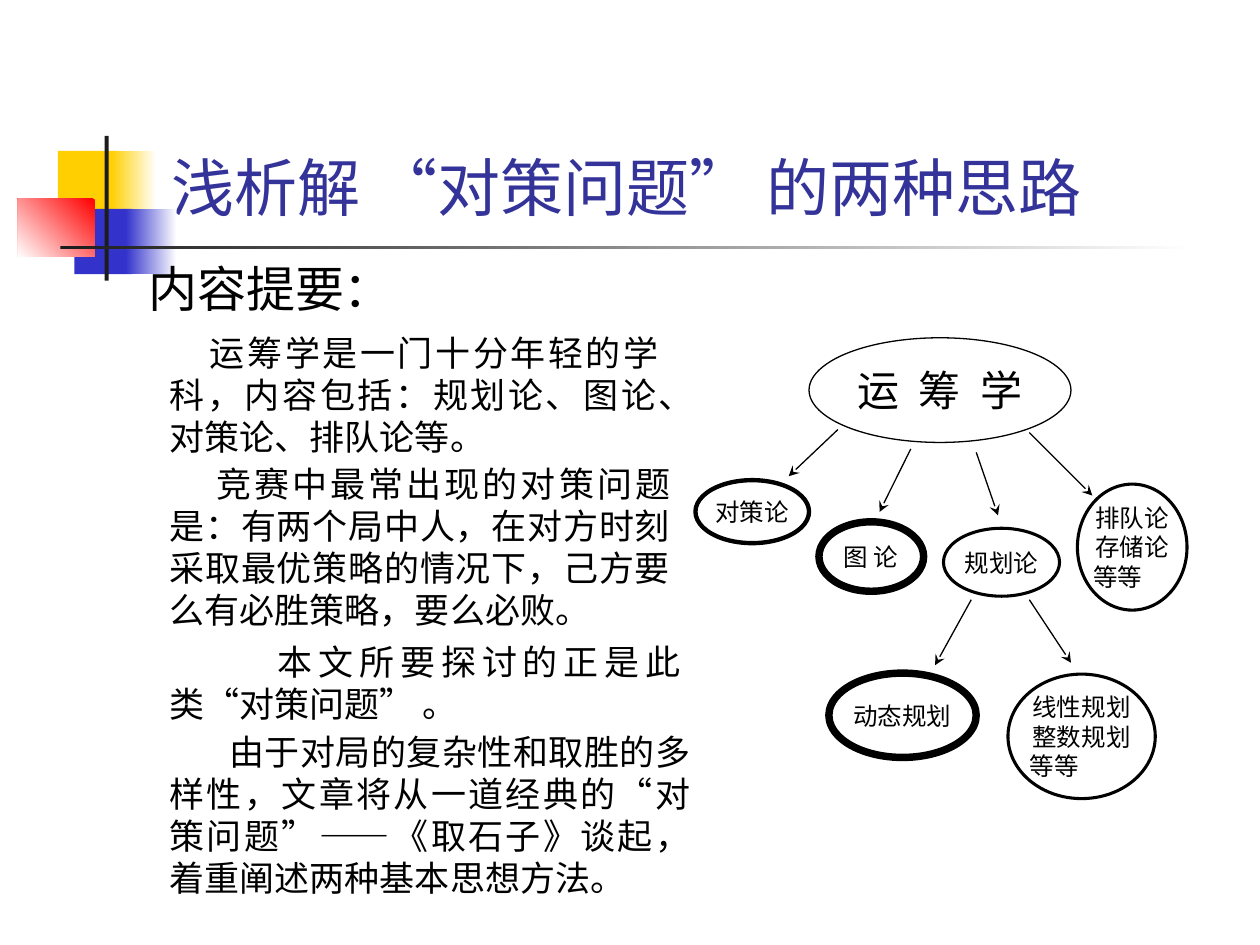
import pptx
import pptx.dml.color
import pptx.enum.shapes
import pptx.enum.text
import pptx.oxml
import pptx.oxml.ns
import pptx.util

Cm = pptx.util.Cm
Pt = pptx.util.Pt
RGBColor = pptx.dml.color.RGBColor
SHAPE = pptx.enum.shapes.MSO_SHAPE
ALIGN = pptx.enum.text.PP_ALIGN
ANCHOR = pptx.enum.text.MSO_ANCHOR

BLACK = RGBColor(0x00, 0x00, 0x00)
WHITE = RGBColor(0xFF, 0xFF, 0xFF)
YELLOW = RGBColor(0xFF, 0xCF, 0x01)
BLUE = RGBColor(0x33, 0x33, 0xCC)
RED = RGBColor(0xFF, 0x00, 0x00)
CHARCOAL = RGBColor(0x1C, 0x1C, 0x1C)
TITLE_BLUE = RGBColor(0x33, 0x33, 0x99)

SERIF = "Times New Roman"
SANS = "Noto Sans CJK SC"

# Decoration: left, top, width, height, colour, fade angle (None = solid)
DECORATION = [
    (0.81, 0.3, 1.22, 1.32, YELLOW, None),
    (1.88, 0.3, 0.91, 1.32, YELLOW, 0),
    (1.14, 1.47, 1.17, 1.32, BLUE, None),
    (2.18, 1.47, 1.02, 1.32, BLUE, 0),
    (0, 1.27, 1.55, 1.17, RED, 225),
    (1.75, 0, 0.08, 2.92, CHARCOAL, None),
    (0.86, 2.21, 22.86, 0.08, CHARCOAL, 0),
]

# Summary: top, width, height, first-line indent, font, text
SUMMARY = [
    (1.47, 10.36, 2.79, 0.81, SANS,
     "运筹学是一门十分年轻的学科，内容包括：规划论、图论、对策论、排队论等。"),
    (4.11, 10.59, 3.66, 0.95, SANS,
     "竞赛中最常出现的对策问题是：有两个局中人，在对方时刻采取最优策略的情况下，"
     "己方要么有必胜策略，要么必败。"),
    (7.7, 10.8, 1.96, 2.18, SERIF,
     "本文所要探讨的正是此类“对策问题” 。"),
    (9.52, 11, 4.5, 1.2, SERIF,
     "由于对局的复杂性和取胜的多样性，文章将从一道经典的“对策问题”——《取石子》谈起，"
     "着重阐述两种基本思想方法。"),
]

# Topic tree: left, top, width, height, outline, size, lines
TOPICS = [
    (2.29, 0, 5.28, 2.11, 0.75, 24, ["运 筹 学"]),
    (0, 2.87, 2.29, 1.27, 2.5, 14, ["对策论"]),
    (2.49, 3.71, 2.11, 1.4, 4.25, 14, ["图 论"]),
    (5, 3.84, 2.34, 1.37, 1.75, 14, ["规划论"]),
    (7.7, 2.95, 2.21, 2.54, 1.75, 14, ["排队论", "存储论", "等等"]),
    (2.69, 6.76, 2.97, 1.7, 4.25, 14, ["动态规划"]),
    (6.3, 6.78, 2.97, 2.51, 1.75, 14, ["线性规划", "整数规划", "等等"]),
]

# Branches: start x, start y, end x, end y
BRANCHES = [
    (2.87, 1.85, 1.88, 2.79),
    (4.34, 2.24, 3.71, 3.51),
    (5.66, 2.31, 6.1, 3.58),
    (6.73, 1.91, 8, 3.18),
    (5.56, 5.28, 4.83, 6.6),
    (6.73, 5.28, 7.57, 6.55),
]


def style_runs(paragraph, size, font, colour=BLACK):
    for run in paragraph.runs:
        run.font.size = Pt(size)
        run.font.name = font
        run.font.color.rgb = colour


def add_decoration(slide, left, top):
    for x, y, width, height, colour, angle in DECORATION:
        block = slide.shapes.add_shape(SHAPE.RECTANGLE, Cm(left + x), Cm(top + y),
                                       Cm(width), Cm(height))
        block.shadow.inherit = False
        block.line.fill.background()
        if angle is None:
            block.fill.solid()
            block.fill.fore_color.rgb = colour
        else:
            block.fill.gradient()
            block.fill.gradient_angle = angle
            for stop, stop_colour in zip(block.fill.gradient_stops, (colour, WHITE)):
                stop.color.rgb = stop_colour
            block.fill.gradient_stops[0].position = 0
            block.fill.gradient_stops[1].position = 1


def add_title(slide, left, top, width, height):
    title = slide.shapes.title
    title.left, title.top = Cm(left), Cm(top)
    title.width, title.height = Cm(width), Cm(height)
    frame = title.text_frame
    frame.text = "浅析解 “对策问题” 的两种思路"
    frame.vertical_anchor = ANCHOR.BOTTOM
    frame.paragraphs[0].alignment = ALIGN.LEFT
    style_runs(frame.paragraphs[0], 36, "Karla", TITLE_BLUE)


def add_text(slide, left, top, width, height, text, size, font):
    frame = slide.shapes.add_textbox(Cm(left), Cm(top), Cm(width), Cm(height)).text_frame
    frame.word_wrap = True
    frame.text = text
    style_runs(frame.paragraphs[0], size, font)
    return frame.paragraphs[0]


def add_summary(slide, left, top):
    add_text(slide, left, top, 10.59, 1.45, "内容提要：", 28, SERIF)
    for y, width, height, indent, font, text in SUMMARY:
        paragraph = add_text(slide, left + 0.43, top + y, width, height, text, 20, font)
        paragraph.alignment = ALIGN.JUSTIFY
        paragraph.line_spacing = Pt(24)
        paragraph._p.get_or_add_pPr().set("indent", str(Cm(indent)))


def add_topic(slide, left, top, width, height, outline, size, lines):
    topic = slide.shapes.add_shape(SHAPE.OVAL, Cm(left), Cm(top), Cm(width), Cm(height))
    topic.shadow.inherit = False
    topic.fill.background()
    topic.line.color.rgb = BLACK
    topic.line.width = Pt(outline)
    frame = topic.text_frame
    frame.margin_left = frame.margin_right = frame.margin_top = frame.margin_bottom = 0
    frame.vertical_anchor = ANCHOR.MIDDLE
    frame.word_wrap = True
    frame.text = "\n".join(lines)
    for paragraph in frame.paragraphs:
        paragraph.alignment = ALIGN.LEFT if paragraph.text == "等等" else ALIGN.CENTER
        paragraph.line_spacing = Pt(size * 1.2)
        style_runs(paragraph, size, SERIF)
    return frame


def add_branch(slide, x1, y1, x2, y2):
    branch = slide.shapes.add_connector(pptx.enum.shapes.MSO_CONNECTOR.STRAIGHT,
                                        Cm(x1), Cm(y1), Cm(x2), Cm(y2))
    branch.line.color.rgb = BLACK
    branch.line.width = Pt(0.75)
    namespace = pptx.oxml.ns.nsdecls("a")
    branch.line._get_or_add_ln().append(
        pptx.oxml.parse_xml(f'<a:tailEnd {namespace} type="stealth"/>'))
    branch._element.spPr.append(pptx.oxml.parse_xml(f"<a:effectLst {namespace}/>"))


def add_topic_tree(slide, left, top):
    for x, y, *details in TOPICS:
        topic_text = add_topic(slide, left + x, top + y, *details)
        if y == 0:
            # Letter spacing opens up the root topic
            topic_text.paragraphs[0].runs[0].font._element.set("spc", "300")
    for x1, y1, x2, y2 in BRANCHES:
        add_branch(slide, left + x1, top + y1, left + x2, top + y2)


def main():
    deck = pptx.Presentation()
    deck.slide_width, deck.slide_height = Cm(25.4), Cm(19.05)
    slide = deck.slides.add_slide(deck.slide_layouts[5])
    add_decoration(slide, 0.36, 2.74)
    add_title(slide, 3.2, 0.58, 21.64, 4.06)
    add_summary(slide, 2.74, 5.08)
    add_topic_tree(slide, 14.02, 6.81)
    deck.save("out.pptx")


if __name__ == "__main__":
    main()
